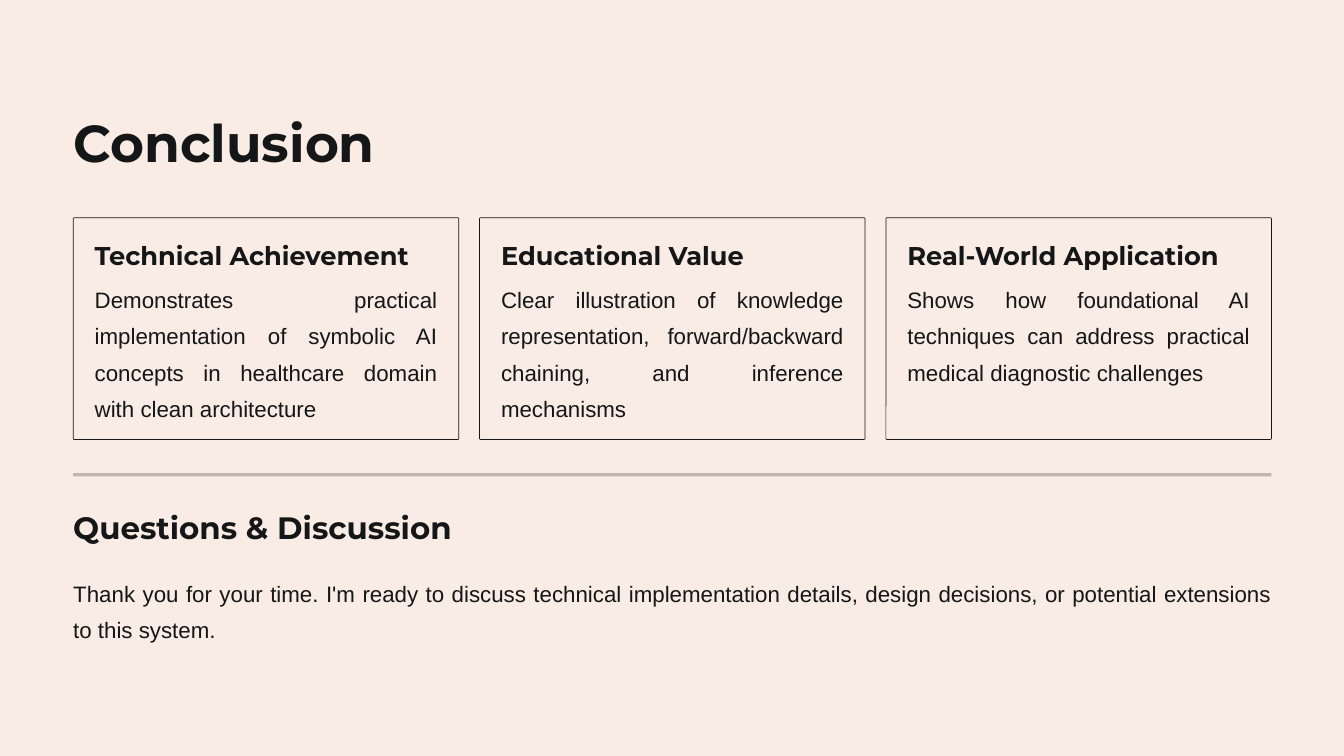
from lxml import etree
from pptx import Presentation
from pptx.dml.color import RGBColor
from pptx.enum.shapes import MSO_SHAPE
from pptx.enum.text import MSO_ANCHOR, MSO_AUTO_SIZE, PP_ALIGN
from pptx.oxml.ns import qn
from pptx.util import Inches, Pt

COLORS = {"background": "F8ECE4", "ink": "151617"}
SLIDE_WIDTH, SLIDE_HEIGHT = 20, 11.25
LEFT, WIDTH = 1.09, 17.83
CARD_TOP, CARD_HEIGHT, CARD_GAP = 3.24, 3.3, 0.31
CARD_PADDING = 0.32
CARDS = [
    ("Technical Achievement",
     "Demonstrates practical implementation of symbolic AI concepts in "
     "healthcare domain with clean architecture"),
    ("Educational Value",
     "Clear illustration of knowledge representation, forward/backward "
     "chaining, and inference mechanisms"),
    ("Real-World Application",
     "Shows how foundational AI techniques can address practical medical "
     "diagnostic challenges"),
]
CLOSING = ("Thank you for your time. I'm ready to discuss technical implementation "
           "details, design decisions, or potential extensions to this system.")


def color(name):
    """Return the named palette colour."""
    return RGBColor.from_string(COLORS[name])


def write(frame, text, size, spacing, font="Montserrat", bold=True, align=PP_ALIGN.LEFT):
    """Fill a text frame with one formatted paragraph and no margins."""
    frame.margin_left = frame.margin_top = frame.margin_right = frame.margin_bottom = 0
    frame.word_wrap = True
    frame.auto_size = MSO_AUTO_SIZE.NONE
    frame.vertical_anchor = MSO_ANCHOR.TOP
    paragraph = frame.paragraphs[0]
    paragraph.text = text
    paragraph.alignment = align
    paragraph.line_spacing = Pt(spacing)
    paragraph.font.name = font
    paragraph.font.size = Pt(size)
    paragraph.font.bold = bold
    paragraph.font.color.rgb = color("ink")


def add_heading(slide, box, text, size, spacing):
    """Add a bold heading in the given box."""
    write(slide.shapes.add_textbox(*map(Inches, box)).text_frame, text, size, spacing)


def add_body(slide, box, text):
    """Add a justified paragraph in the given box."""
    frame = slide.shapes.add_textbox(*map(Inches, box)).text_frame
    write(frame, text, 23.9, 38.9, "Arial", False, PP_ALIGN.JUSTIFY)


def add_panel(slide, preset, box, fill):
    """Add a flat filled shape without outline in the given box."""
    panel = slide.shapes.add_shape(preset, *map(Inches, box))
    panel.shadow.inherit = False
    panel.fill.solid()
    panel.fill.fore_color.rgb = color(fill)
    panel.line.fill.background()
    return panel


def add_backdrop(slide, box):
    """Fill the given box with the background colour behind the title."""
    backdrop = add_panel(slide, MSO_SHAPE.RECTANGLE, box, "background")
    slide.shapes.title.element.addprevious(backdrop.element)


def add_title(slide, box):
    """Place the slide title in the given box."""
    title = slide.shapes.title
    title.left, title.top, title.width, title.height = map(Inches, box)
    write(title.text_frame, "Conclusion", 55.6, 69.4)


def add_card(slide, box, heading, body):
    """Add an outlined card with a heading and a paragraph."""
    left, top, width, height = box
    card = add_panel(slide, MSO_SHAPE.ROUNDED_RECTANGLE, box, "background")
    card.adjustments[0] = 0.005
    card.line.color.rgb = color("ink")
    card.line.width = Pt(0.75)
    inner_left, inner_width = left + CARD_PADDING, width - 2 * CARD_PADDING
    add_heading(slide, (inner_left, top + 0.31, inner_width, 0.51), heading, 27.5, 34.4)
    add_body(slide, (inner_left, top + 0.88, inner_width, height - 1.2), body)


def add_cards(slide, box):
    """Spread the cards evenly across the given box."""
    left, top, width, height = box
    card_width = (width - CARD_GAP * (len(CARDS) - 1)) / len(CARDS)
    for index, (heading, body) in enumerate(CARDS):
        card_left = left + index * (card_width + CARD_GAP)
        add_card(slide, (card_left, top, card_width, height), heading, body)


def add_divider(slide, box):
    """Add a translucent bar between the cards and the closing."""
    divider = add_panel(slide, MSO_SHAPE.RECTANGLE, box, "ink")
    fill_color = divider.fill._xPr.find(qn("a:solidFill"))[0]
    etree.SubElement(fill_color, qn("a:alpha"), val="25000")


def add_closing(slide, box):
    """Add the closing heading and paragraph."""
    left, top, width, height = box
    add_heading(slide, (left, top, width, 0.59), "Questions & Discussion", 33.1, 41.2)
    add_body(slide, (left, top + 0.94, width, height - 0.94), CLOSING)


def main():
    """Build and save the conclusion slide."""
    deck = Presentation()
    deck.slide_width, deck.slide_height = Inches(SLIDE_WIDTH), Inches(SLIDE_HEIGHT)
    slide = deck.slides.add_slide(deck.slide_layouts.get_by_name("Title Only"))
    add_backdrop(slide, (0, 0, SLIDE_WIDTH, SLIDE_HEIGHT))
    add_title(slide, (LEFT, 1.61, WIDTH, 1.01))
    add_cards(slide, (LEFT, CARD_TOP, WIDTH, CARD_HEIGHT))
    add_divider(slide, (LEFT, 7.04, WIDTH, 0.05))
    add_closing(slide, (LEFT, 7.55, WIDTH, 1.97))
    deck.save("out.pptx")


if __name__ == "__main__":
    main()
